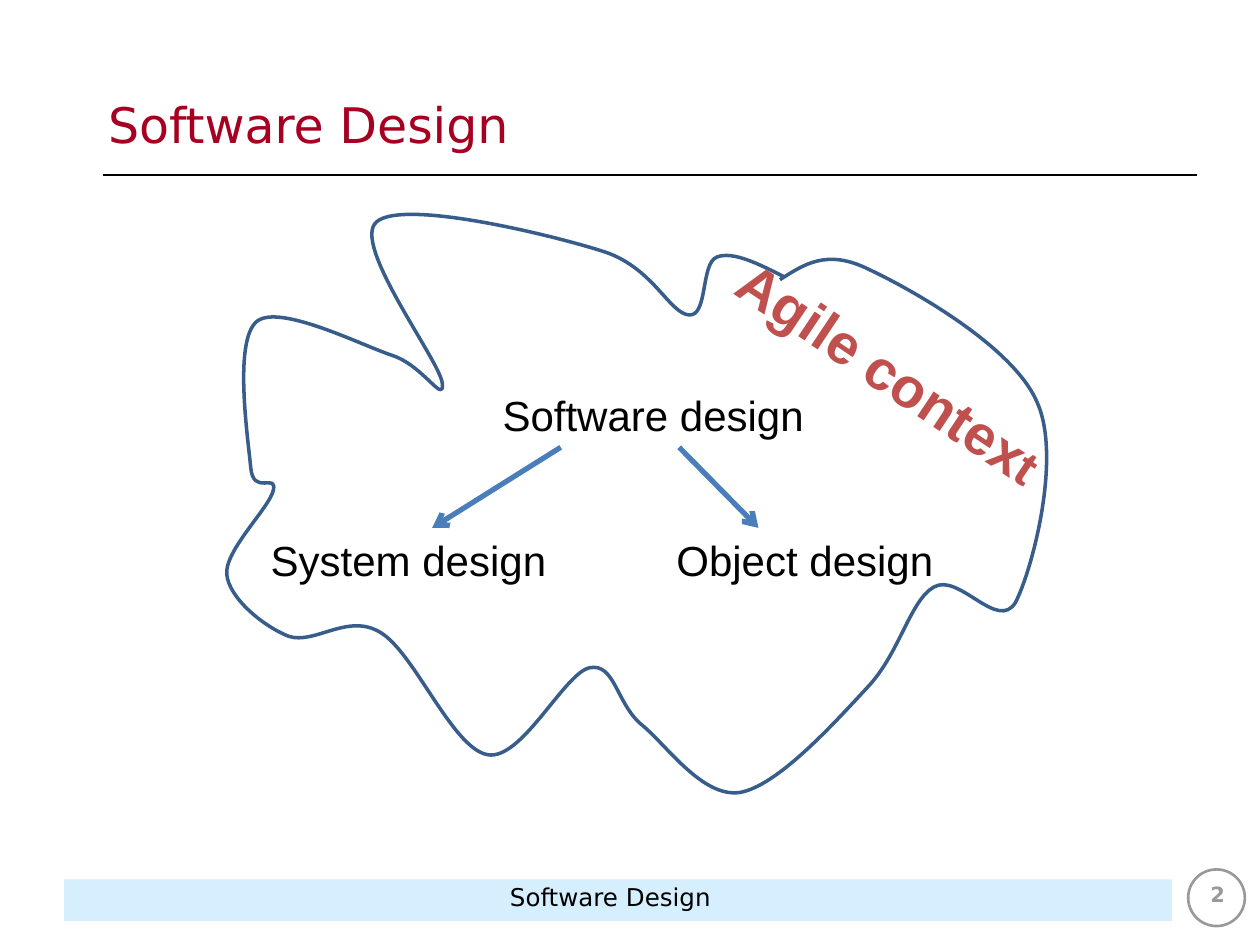
from dataclasses import dataclass

from pptx import Presentation
from pptx.dml.color import RGBColor
from pptx.enum.shapes import MSO_CONNECTOR as Conn, MSO_SHAPE as Kind
from pptx.enum.text import MSO_ANCHOR as Anchor, MSO_AUTO_SIZE as Fit, PP_ALIGN as Align
from pptx.oxml.ns import qn
from pptx.util import Emu, Inches, Pt
from lxml.etree import SubElement

COLS, ROWS = 10, 7.5
CELL = Inches(1)
SANS, BODY = "DejaVu Sans", "Arial"
INK = {
    "title": "A50021", "text": "000000", "badge": "999999", "white": "FFFFFF",
    "bar": "CCECFF", "cloud": "385D8A", "arrow": "4A7EBB", "agile": "C0504D",
}

# Start of the cloud outline, then two handles and an end point for each curve
START = (4.39, 0.52)
CURVES = [
    ((4.58, 0.4), (4.76, 0.27), (5.1, 0.44)),
    ((5.44, 0.6), (6.24, 1.05), (6.43, 1.49)),
    ((6.63, 1.93), (6.39, 2.83), (6.26, 3.08)),
    ((6.12, 3.32), (5.81, 2.84), (5.61, 2.96)),
    ((5.42, 3.07), (5.34, 3.49), (5.08, 3.76)),
    ((4.82, 4.04), (4.37, 4.54), (4.07, 4.59)),
    ((3.77, 4.63), (3.49, 4.21), (3.29, 4.05)),
    ((3.09, 3.88), (3.08, 3.56), (2.88, 3.6)),
    ((2.68, 3.64), (2.34, 4.34), (2.07, 4.29)),
    ((1.79, 4.24), (1.49, 3.48), (1.22, 3.32)),
    ((0.96, 3.16), (0.7, 3.42), (0.49, 3.35)),
    ((0.29, 3.27), (0.02, 3.05), (0, 2.86)),
    ((-0.02, 2.67), (0.34, 2.33), (0.37, 2.19)),
    ((0.4, 2.05), (0.21, 2.24), (0.19, 2.01)),
    ((0.17, 1.79), (0.05, 1), (0.24, 0.85)),
    ((0.42, 0.71), (1.07, 1.04), (1.31, 1.12)),
    ((1.56, 1.2), (1.73, 1.52), (1.71, 1.34)),
    ((1.69, 1.16), (0.98, 0.23), (1.19, 0.06)),
    ((1.4, -0.12), (2.56, 0.16), (2.97, 0.29)),
    ((3.38, 0.41), (3.51, 0.79), (3.67, 0.8)),
    ((3.82, 0.81), (3.76, 0.39), (3.89, 0.34)),
    ((4.02, 0.29), (4.23, 0.4), (4.43, 0.5)),
]


@dataclass
class Box:
    """A region whose corner is given in columns and rows of the slide grid."""
    col: float
    row: float

    def at(self, x, y):
        return Emu(round((self.col + x) * CELL)), Emu(round((self.row + y) * CELL))

    def area(self, x, y, w, h):
        return *self.at(x, y), Emu(round(w * CELL)), Emu(round(h * CELL))


def tint(name):
    return RGBColor.from_string(INK[name])


def style(run, size, font, ink, bold=False):
    run.font.size, run.font.name, run.font.bold = Pt(size), font, bold
    run.font.color.rgb = tint(ink)


def label(slide, area, text, size, font=BODY, ink="text", bold=False,
          align=Align.LEFT, wrap=True):
    shape = slide.shapes.add_textbox(*area)
    frame = shape.text_frame
    frame.text = text
    frame.word_wrap = wrap
    para = frame.paragraphs[0]
    para.alignment = align
    style(para.runs[0], size, font, ink, bold)
    return shape


def panel(slide, kind, area, ink):
    shape = slide.shapes.add_shape(kind, *area)
    shape.shadow.inherit = False
    shape.fill.solid()
    shape.fill.fore_color.rgb = tint(ink)
    shape.line.fill.background()
    return shape


def rule(slide, start, end, ink, width, head=False):
    line = slide.shapes.add_connector(Conn.STRAIGHT, *start, *end)
    line.line.color.rgb = tint(ink)
    line.line.width = Pt(width)
    if head:
        SubElement(line.line._get_or_add_ln(), qn("a:tailEnd"), type="arrow")
    SubElement(line._element.spPr, qn("a:effectLst"))


def cloud(slide, box):
    """Draw the outline through all points, then turn each three lines into a curve."""
    form = slide.shapes.build_freeform(*box.at(*START), scale=1.0)
    form.add_line_segments([box.at(*pt) for curve in CURVES for pt in curve], close=False)
    shape = form.convert_to_shape()
    shape.shadow.inherit = False
    shape.fill.background()
    shape.line.color.rgb = tint("cloud")
    shape.line.width = Pt(2)
    lines = list(shape._element.iter(qn("a:lnTo")))
    for i in range(0, len(lines), 3):
        curve = SubElement(lines[i].getparent(), qn("a:cubicBezTo"))
        for line in lines[i:i + 3]:
            curve.append(line[0])
            line.getparent().remove(line)


def header(slide, box):
    rule(slide, box.at(0.06, 1.03), box.at(8.74, 1.03), "text", 0.75)
    title = label(slide, box.area(0, 0, 8.48, 1.24), "Software Design", 28, SANS, "title")
    title.text_frame.vertical_anchor = Anchor.MIDDLE


def diagram(slide, box):
    cloud(slide, box)
    for text, x, y, w in [("Software design", 2.09, 1.34, 2.62),
                          ("System design", 0.25, 2.49, 2.42),
                          ("Object design", 3.47, 2.49, 2.27)]:
        node = label(slide, box.area(x, y, w, 0.5), text, 24, wrap=False)
        node.text_frame.auto_size = Fit.NONE
    for x, end in [(2.65, 1.63), (3.59, 4.22)]:
        rule(slide, box.at(x, 1.85), box.at(end, 2.49), "arrow", 3, head=True)
    agile = label(slide, box.area(3.72, 1.14, 3.71, 0.64), "Agile contex", 32,
                  ink="agile", bold=True)
    agile.text_frame.auto_size = Fit.SHAPE_TO_FIT_TEXT
    agile.rotation = 33.7
    last = agile.text_frame.paragraphs[0].add_run()
    last.text = "t"
    style(last, 28, BODY, "agile", True)


def footer(slide, box):
    badge = panel(slide, Kind.OVAL, box.area(8.92, 0, 0.45, 0.45), "white")
    badge.line.color.rgb = tint("badge")
    badge.line.width = Pt(1.5)
    bar = panel(slide, Kind.RECTANGLE, box.area(0, 0.08, 8.79, 0.33), "bar")
    color = next(bar._element.spPr.iter(qn("a:srgbClr")))
    SubElement(color, qn("a:alpha"), val="82000")
    label(slide, box.area(8.78, 0.05, 0.75, 0.5), "2", 12, SANS, "badge", True, Align.CENTER)
    label(slide, box.area(2.6, 0.05, 3.47, 0.5), "Software Design", 14, SANS,
          align=Align.CENTER)


def main():
    deck = Presentation()
    deck.slide_width, deck.slide_height = COLS * CELL, Emu(round(ROWS * CELL))
    slide = deck.slides.add_slide(deck.slide_layouts[6])
    footer(slide, Box(0.51, 6.9))
    header(slide, Box(0.76, 0.36))
    diagram(slide, Box(1.8, 1.7))
    deck.save("out.pptx")


if __name__ == "__main__":
    main()
